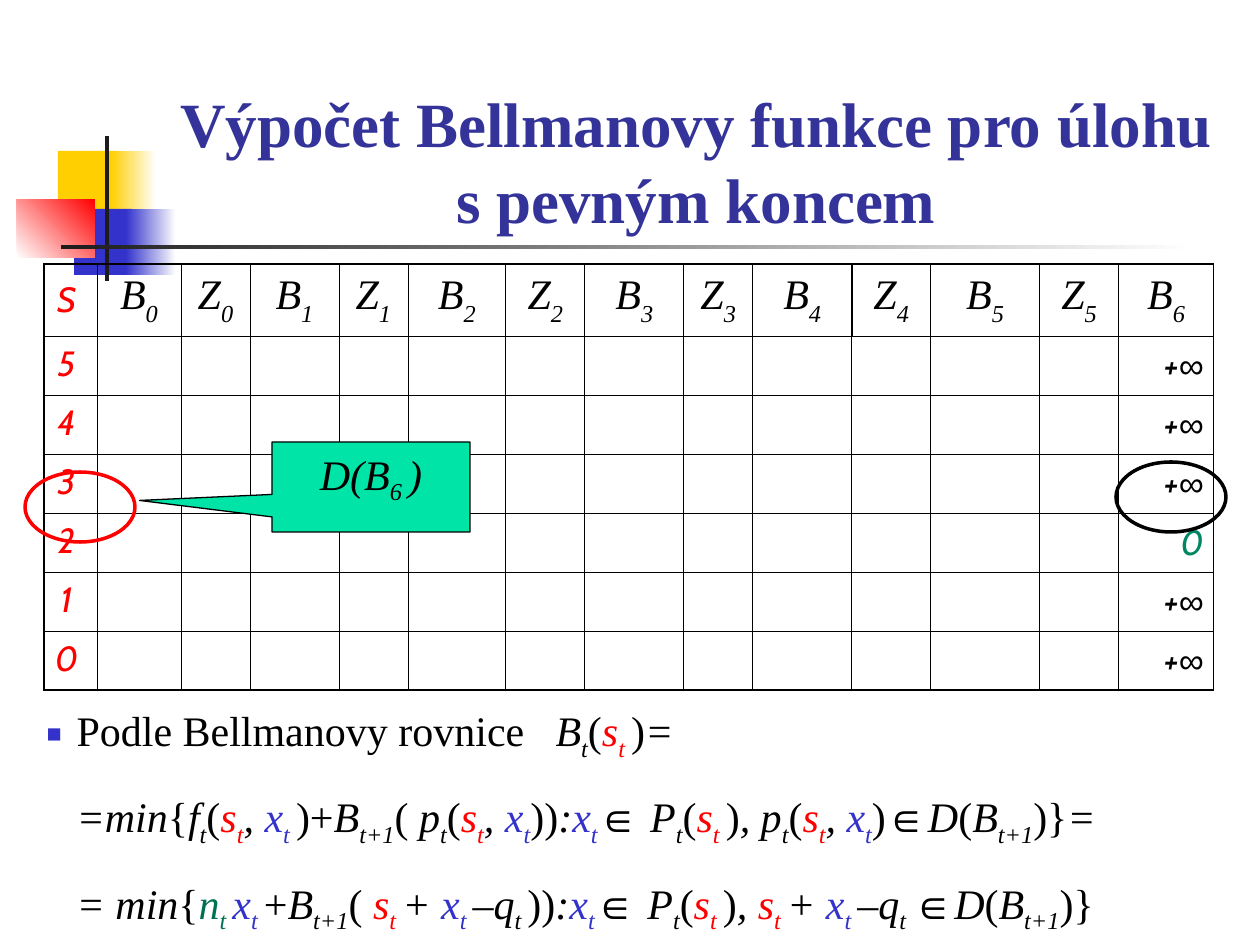
from typing import NamedTuple

from lxml import etree
from pptx import Presentation
from pptx import util as u
from pptx.dml.color import RGBColor
from pptx.enum import shapes, text
from pptx.oxml.ns import qn

SCALE = 914400 / 126  # EMU in one px
HUES = {
    "black": "000000", "white": "FFFFFF", "ink": "1C1C1C", "red": "FF0000",
    "blue": "3333CC", "gold": "FFCF01", "navy": "333399", "mint": "00E4A8",
    "green": "007254", "jade": "008663",
}
MARKS = {"r": "red", "b": "blue", "g": "green", "j": "jade"}
SERIF, SANS, CABIN = "Times New Roman", "Arial", "Cabin"
FORM = shapes.MSO_SHAPE
ALIGN, ANCHOR = text.PP_ALIGN, text.MSO_ANCHOR


class Box(NamedTuple):
    x: int
    y: int
    w: int
    h: int


class Block(NamedTuple):
    box: Box
    hue: str
    fade: str = ""
    angle: int = 0


class Ring(NamedTuple):
    box: Box
    hue: str


def px(n: int) -> int:
    return round(n * SCALE)


def rgb(hue: str) -> RGBColor:
    return RGBColor.from_string(HUES[hue])


def place(shape, box: Box) -> None:
    shape.left, shape.top, shape.width, shape.height = map(px, box)


def node(parent, tag: str, **attrs: str):
    return etree.SubElement(parent, qn(tag), attrs)


def write(par, line: str, face: str = SERIF, size: int = 24, drop: int = 25) -> None:
    """Add runs from 'marks:text|...': i italic, s subscript, a Arial, others a colour."""
    for part in line.split("|"):
        marks, _, words = part.partition(":")
        run = par.add_run()
        run.text = words
        font = run.font
        font.name = SANS if "a" in marks else face
        font.size = u.Pt(size)
        font.italic = "i" in marks
        font.color.rgb = rgb(next((MARKS[m] for m in marks if m in MARKS), "black"))
        if "s" in marks:
            font._element.set("baseline", str(-1000 * drop))


def draw(tree, form, box: Box):
    shape = tree.add_shape(form, *map(px, box))
    shape.shadow.inherit = False
    return shape


def add_block(tree, item: Block) -> None:
    shape = draw(tree, FORM.RECTANGLE, item.box)
    shape.line.fill.background()
    if not item.fade:
        shape.fill.solid()
        shape.fill.fore_color.rgb = rgb(item.hue)
        return
    shape.fill.gradient()
    shape.fill.gradient_angle = item.angle
    for stop, hue in zip(shape.fill.gradient_stops, (item.hue, item.fade)):
        stop.color.rgb = rgb(hue)


def add_ring(tree, item: Ring) -> None:
    shape = draw(tree, FORM.OVAL, item.box)
    shape.fill.background()
    shape.line.color.rgb = rgb(item.hue)
    shape.line.width = u.Pt(2)


def edge(cell, thick: str) -> None:
    """Draw the four borders, heavier on the sides listed in thick."""
    props = cell._tc.get_or_add_tcPr()
    for k, side in enumerate("LRTB"):
        width = u.Pt(1.08 if side in thick else 0.45)
        line = etree.Element(qn(f"a:ln{side}"), {"w": str(int(width))})
        node(node(line, "a:solidFill"), "a:srgbClr", val=HUES["black"])
        props.insert(k, line)


def fill_cell(cell, line: str, align, pads: tuple, middle: bool, **style) -> None:
    cell.margin_left, cell.margin_right = map(px, pads)
    cell.vertical_anchor = ANCHOR.MIDDLE if middle else ANCHOR.TOP
    par = cell.text_frame.paragraphs[0]
    par.alignment = align
    write(par, line, **style)


deck = Presentation()
deck.slide_width, deck.slide_height = px(1260), px(945)
slide = deck.slides.add_slide(deck.slide_layouts[1])
tree = slide.shapes

# Corner ornament and rule
for item in (
    Block(Box(58, 151, 60, 66), "gold"),
    Block(Box(111, 151, 45, 66), "gold", "white"),
    Block(Box(74, 209, 58, 66), "blue"),
    Block(Box(126, 209, 50, 66), "blue", "white"),
    Block(Box(17, 199, 78, 59), "white", "red", 45),
    Block(Box(105, 136, 4, 145), "ink"),
    Block(Box(61, 245, 1134, 4), "ink", "white"),
):
    add_block(tree, item)

# Title
title = tree.title
place(title, Box(159, 84, 1074, 158))
frame = title.text_frame
frame.text = "Výpočet Bellmanovy funkce pro úlohu s pevným koncem"
frame.auto_size = text.MSO_AUTO_SIZE.NONE
frame.vertical_anchor = ANCHOR.BOTTOM
frame.paragraphs[0].alignment = ALIGN.CENTER
font = frame.paragraphs[0].runs[0].font
font.name, font.size, font.bold = SERIF, u.Pt(36), True
font.color.rgb = rgb("navy")

# Table of states and stages
COLS = (53, 84, 69, 89, 69, 98, 79, 99, 69, 99, 79, 109, 79, 95)
ROWS = (69,) + (59,) * 6
LAST, FOOT = len(COLS) - 1, len(ROWS) - 1
GOAL = 2  # the fixed final state
grid = tree.add_table(len(ROWS), len(COLS),
                      *map(px, Box(44, 264, sum(COLS), sum(ROWS)))).table
grid.first_row = grid.horz_banding = False
for col, wide in zip(grid.columns, COLS):
    col.width = px(wide)
for row, high in zip(grid.rows, ROWS):
    row.height = px(high)

for r in range(len(ROWS)):
    state = FOOT - r
    for c in range(len(COLS)):
        cell = grid.cell(r, c)
        cell.fill.background()
        thick = "T" * (r == 0) + "B" * (r == FOOT) + "L" * (c == 0) + "R" * (c == LAST)
        if r == 0:
            thick += {9: "R", 10: "L"}.get(c, "")
        edge(cell, thick)
        if c == 0:
            fill_cell(cell, f"ir:{state if r else 'S'}", ALIGN.CENTER, (5, 13),
                      r == 0, face=CABIN, size=20)
        elif r == 0:
            name, stage = "ZB"[c % 2], (c - 1) // 2
            fill_cell(cell, f"i:{name}|is:{stage}", ALIGN.CENTER, (3, 3), True, drop=30)
        elif c == LAST:
            cost = "ij:0" if state == GOAL else "i:+|ia:∞"
            fill_cell(cell, cost, ALIGN.RIGHT, (3, 10), True, face=CABIN, size=20)

# Bellman equation
LINES = (
    ":Podle Bellmanovy rovnice\t|i:B|is:t|:(|ir:s|irs:t |:)|i:=",
    "i:=min|:{|i:f|is:t|:(|ir:s|irs:t|i:, |ib:x|ibs:t |:)+|i:B|is:t+1|:( |i:p|is:t|:("
    "|ir:s|irs:t|i:, |ib:x|ibs:t|:))|i::|ib:x|ibs:t|ia:∈|i: P|is:t|:(|ir:s|irs:t |:)"
    "|i:, p|is:t|:(|ir:s|irs:t|i:, |ib:x|ibs:t|:)|ia:∈|i:D|:(|i:B|is:t+1|:)}|i:=",
    "i:= min|:{|ig:n|igs:t |ib:x|ibs:t |:+|i:B|is:t+1|:(|ir: s|irs:t |i:+ |ib:x|ibs:t "
    "|i:–q|is:t |:))|i::|ib:x|ibs:t|ia:∈|i: P|is:t|:(|ir:s|irs:t |:)|i:, |ir:s|irs:t "
    "|i:+ |ib:x|ibs:t |i:–q|is:t |ia:∈|i:D|:(|i:B|is:t+1|:)}",
)
body = slide.placeholders[1]
place(body, Box(34, 670, 1212, 271))
frame = body.text_frame
frame.auto_size = text.MSO_AUTO_SIZE.SHAPE_TO_FIT_TEXT
par = frame.paragraphs[0]
props = par._p.get_or_add_pPr()
props.set("marL", str(px(30)))
props.set("indent", str(-px(30)))
node(node(props, "a:buClr"), "a:srgbClr", val=HUES["blue"])
node(props, "a:buSzPct", val="60000")
node(props, "a:buFont", typeface=SANS)
node(props, "a:buChar", char="■")
node(node(props, "a:tabLst"), "a:tab", pos=str(px(509)), algn="l")
par.line_spacing = 1.5
par.space_before = u.Pt(0)
for k, line in enumerate(LINES):
    if k:
        par.add_line_break()
    write(par, line)
for gap in par._p.findall(qn("a:br")):
    node(gap, "a:rPr", sz="2400")

# Highlights of the start and end states
for ring in (Ring(Box(1116, 462, 110, 70), "black"), Ring(Box(25, 472, 110, 70), "red")):
    add_ring(tree, ring)

# Callout with the domain of the last function
note = draw(tree, FORM.RECTANGULAR_CALLOUT, Box(272, 442, 198, 90))
note.adjustments[0], note.adjustments[1] = -1.17, 0.15
note.fill.solid()
note.fill.fore_color.rgb = rgb("mint")
note.line.color.rgb = rgb("black")
note.line.width = u.Pt(0.75)
note.text_frame.vertical_anchor = ANCHOR.TOP
par = note.text_frame.paragraphs[0]
par.alignment = ALIGN.CENTER
write(par, "i:D(B|is:6 |i:)")

deck.save("out.pptx")
